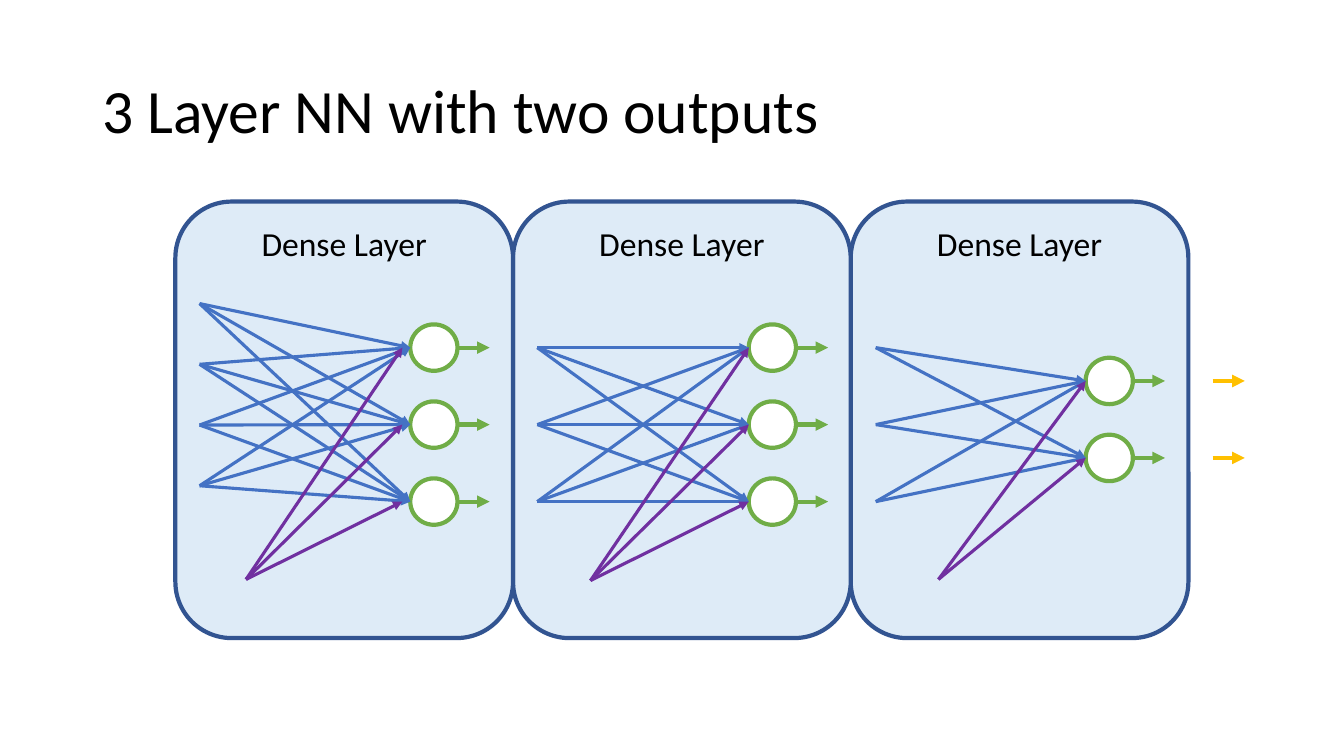
import pptx
import pptx.util
import pptx.dml.color
import pptx.enum.shapes
import pptx.enum.text
import pptx.oxml

Cm, Pt = pptx.util.Cm, pptx.util.Pt
SHAPE = pptx.enum.shapes.MSO_SHAPE
FONT = "Calibri"

# Palette
BLACK, WHITE = "000000", "FFFFFF"
PALE, NAVY = "DEEBF7", "325491"
BLUE, GREEN, PURPLE, GOLD = "4472C4", "70AD47", "7030A0", "FFC000"

# Sizes in cm
PANEL_X, PANEL_Y, PANEL_W, PANEL_H = 4.42, 5.08, 8.51, 11
NODE_W, NODE_H = 1.19, 1.17
GAP, STUB = 1.94, 0.81

# Each layer: input x and heights, node left and heights, bias point, bias gap
ROWS = [8.76 + GAP * i for i in range(3)]
OUTS = [9.6 + GAP * i for i in range(2)]
LAYERS = [
    (5.03, [7.65 + 1.53 * i for i in range(4)], 10.34, ROWS, (6.2, 14.6), 0.2),
    (13.54, ROWS, 18.87, ROWS, (14.88, 14.63), 0),
    (22.07, ROWS, 27.36, OUTS, (23.65, 14.6), 0),
]


def color(code):
    return pptx.dml.color.RGBColor.from_string(code)


def style(para, size):
    font = para.runs[0].font
    font.name, font.size = FONT, Pt(size)
    font.color.rgb = color(BLACK)


def shape(slide, kind, left, top, wide, high, fill, line):
    item = slide.shapes.add_shape(kind, Cm(left), Cm(top), Cm(wide), Cm(high))
    item.shadow.inherit = False
    item.fill.solid()
    item.fill.fore_color.rgb = color(fill)
    item.line.color.rgb = color(line)
    item.line.width = Pt(3)
    return item


def arrow(slide, start, end, code, width):
    kind = pptx.enum.shapes.MSO_CONNECTOR.STRAIGHT
    item = slide.shapes.add_connector(kind, *[Cm(n) for n in (*start, *end)])
    item.line.color.rgb = color(code)
    item.line.width = Pt(width)
    # Arrowhead, and no shadow
    ns = pptx.oxml.ns.nsdecls("a")
    head = pptx.oxml.parse_xml(f'<a:tailEnd {ns} type="triangle"/>')
    item.line._get_or_add_ln().append(head)
    item._element.spPr.append(pptx.oxml.parse_xml(f"<a:effectLst {ns}/>"))


def title(slide, text):
    box = slide.shapes.add_textbox(Cm(2.33), Cm(1.01), Cm(29.21), Cm(3.68))
    frame = box.text_frame
    frame.word_wrap = True
    frame.vertical_anchor = pptx.enum.text.MSO_ANCHOR.MIDDLE
    frame.text = text
    frame.paragraphs[0].line_spacing = 0.9
    style(frame.paragraphs[0], 44)


def panel(slide, left):
    item = shape(slide, SHAPE.ROUNDED_RECTANGLE, left, PANEL_Y,
                 PANEL_W, PANEL_H, PALE, NAVY)
    frame = item.text_frame
    frame.vertical_anchor = pptx.enum.text.MSO_ANCHOR.TOP
    frame.text = "Dense Layer"
    frame.paragraphs[0].alignment = pptx.enum.text.PP_ALIGN.CENTER
    style(frame.paragraphs[0], 24)


def layer(slide, in_x, ins, node_x, nodes, bias, gap):
    # Neurons with their output arrows
    for y in nodes:
        shape(slide, SHAPE.OVAL, node_x, y - NODE_H / 2,
              NODE_W, NODE_H, WHITE, GREEN)
        edge = node_x + NODE_W
        arrow(slide, (edge, y), (edge + STUB, y), GREEN, 3)
    # Weights
    for y in nodes:
        for in_y in ins:
            arrow(slide, (in_x, in_y), (node_x, y), BLUE, 2.25)
    # Biases
    for y in nodes:
        arrow(slide, bias, (node_x - gap, y), PURPLE, 2.25)


def main():
    deck = pptx.Presentation()
    deck.slide_width, deck.slide_height = Cm(33.87), Cm(19.05)
    slide = deck.slides.add_slide(deck.slide_layouts[6])

    title(slide, "3 Layer NN with two outputs")
    for i in reversed(range(len(LAYERS))):
        panel(slide, PANEL_X + PANEL_W * i)
    for parts in LAYERS:
        layer(slide, *parts)

    # Final outputs
    for y in OUTS:
        arrow(slide, (30.56, y), (30.56 + STUB, y), GOLD, 3)

    deck.save("out.pptx")


if __name__ == "__main__":
    main()
